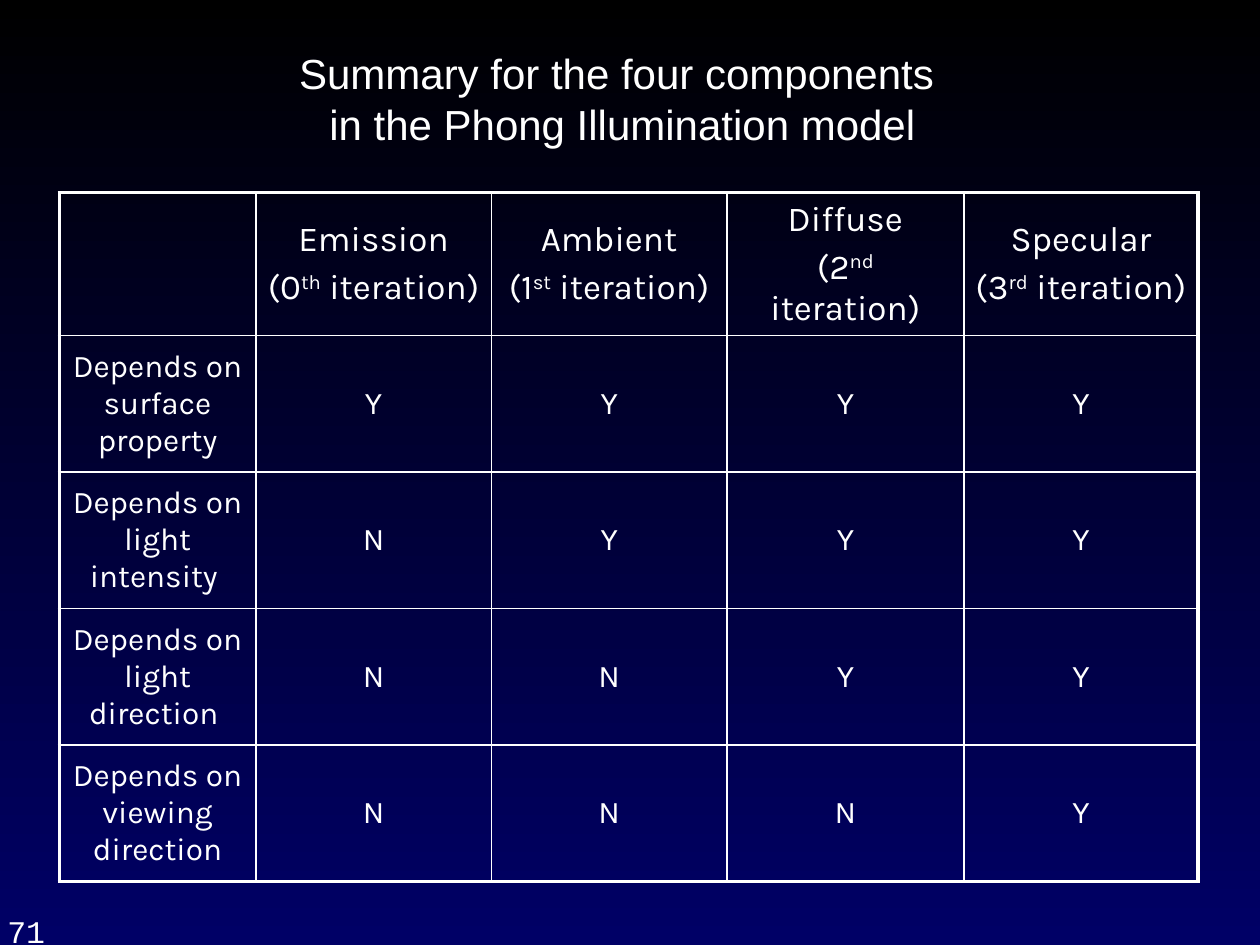
import pptx
import pptx.dml.color
import pptx.enum.text
import pptx.oxml
import pptx.oxml.ns
import pptx.util
from pptx.util import Inches

BLACK = pptx.dml.color.RGBColor(0x00, 0x00, 0x00)
NAVY = pptx.dml.color.RGBColor(0x00, 0x00, 0x66)
WHITE = pptx.dml.color.RGBColor(0xFF, 0xFF, 0xFF)
CENTER = pptx.enum.text.PP_ALIGN.CENTER
LEFT = pptx.enum.text.PP_ALIGN.LEFT


def write_text(tf, lines, font, size, align=CENTER, gap=0):
    """Write one paragraph per line; text between ^ marks is superscript."""
    tf.word_wrap = True
    for i, line in enumerate(lines):
        p = tf.paragraphs[0] if i == 0 else tf.add_paragraph()
        p.alignment = align
        if i:
            p.space_before = pptx.util.Pt(gap)
        for j, part in enumerate(line.split("^")):
            r = p.add_run()
            r.text = part
            r.font.name = font
            r.font.size = pptx.util.Pt(size)
            r.font.color.rgb = WHITE
            if j % 2:
                r.font._element.set("baseline", "30000")


def set_borders(cell, widths):
    """Draw the left, right, top and bottom borders, widths in points."""
    tcPr = cell._tc.get_or_add_tcPr()
    for i, (side, width) in enumerate(zip("LRTB", widths)):
        tcPr.insert(i, pptx.oxml.parse_xml(
            f'<a:ln{side} {pptx.oxml.ns.nsdecls("a")} w="{pptx.util.Pt(width)}">'
            f'<a:solidFill><a:srgbClr val="{WHITE}"/></a:solidFill></a:ln{side}>'))


prs = pptx.Presentation()
prs.slide_width, prs.slide_height = Inches(10), Inches(7.5)
s = prs.slides.add_slide(prs.slide_layouts[6])

fill = s.background.fill
fill.gradient()
fill.gradient_angle = 270
for stop, color in zip(fill.gradient_stops, (BLACK, NAVY)):
    stop.color.rgb = color

# Component table
HEADERS = [
    ["Emission", "(0^th^ iteration)"],
    ["Ambient", "(1^st^ iteration)"],
    ["Diffuse", "(2^nd^ iteration)"],
    ["Specular", "(3^rd^ iteration)"],
]
DEPENDENCIES = [
    ("Depends on surface property", "YYYY"),
    ("Depends on light intensity ", "NYYY"),
    ("Depends on light direction ", "NNYY"),
    ("Depends on viewing direction", "NNNY"),
]
COL_WIDTHS = [1.56, 1.87, 1.87, 1.88, 1.86]
THIN, THICK = 1, 2.25

rows = [[[]] + HEADERS]
rows += [[[label]] + [[answer] for answer in answers] for label, answers in DEPENDENCIES]
n_rows, n_cols = len(rows), len(COL_WIDTHS)

table = s.shapes.add_table(n_rows, n_cols, Inches(0.47), Inches(1.53),
                           Inches(9.02), Inches(5.42)).table
table.first_row = table.horz_banding = False
for column, width in zip(table.columns, COL_WIDTHS):
    column.width = Inches(width)

for y, row in enumerate(rows):
    for x, lines in enumerate(row):
        cell = table.cell(y, x)
        cell.fill.background()
        cell.vertical_anchor = pptx.enum.text.MSO_ANCHOR.MIDDLE
        cell.margin_left = cell.margin_right = Inches(0.09)
        cell.margin_top = cell.margin_bottom = Inches(0.05)
        outer = (x == 0, x == n_cols - 1, y == 0, y == n_rows - 1)
        set_borders(cell, [THICK if edge else THIN for edge in outer])
        write_text(cell.text_frame, lines, "Karla", 20 if y == 0 else 18, gap=4)

# Title and page number
title = s.shapes.add_textbox(Inches(0.91), Inches(0.33), Inches(8.06), Inches(0.91))
write_text(title.text_frame,
           ["Summary for the four components ", "in the Phong Illumination model"],
           "Arial", 24)
number = s.shapes.add_textbox(Inches(-0.04), Inches(7.19), Inches(0.66), Inches(0.33))
write_text(number.text_frame, ["71"], "Courier New", 18, align=LEFT)

prs.save("out.pptx")
